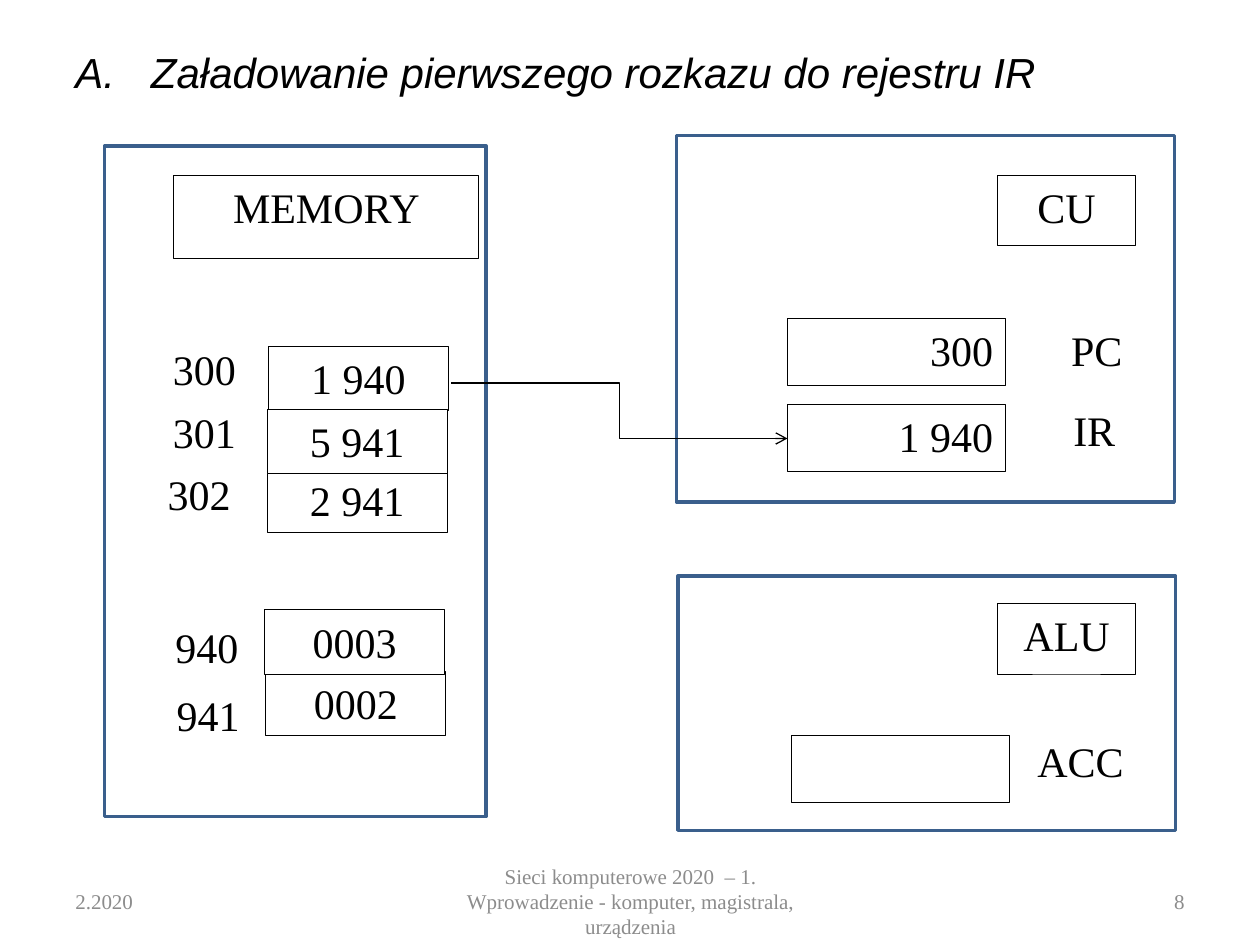
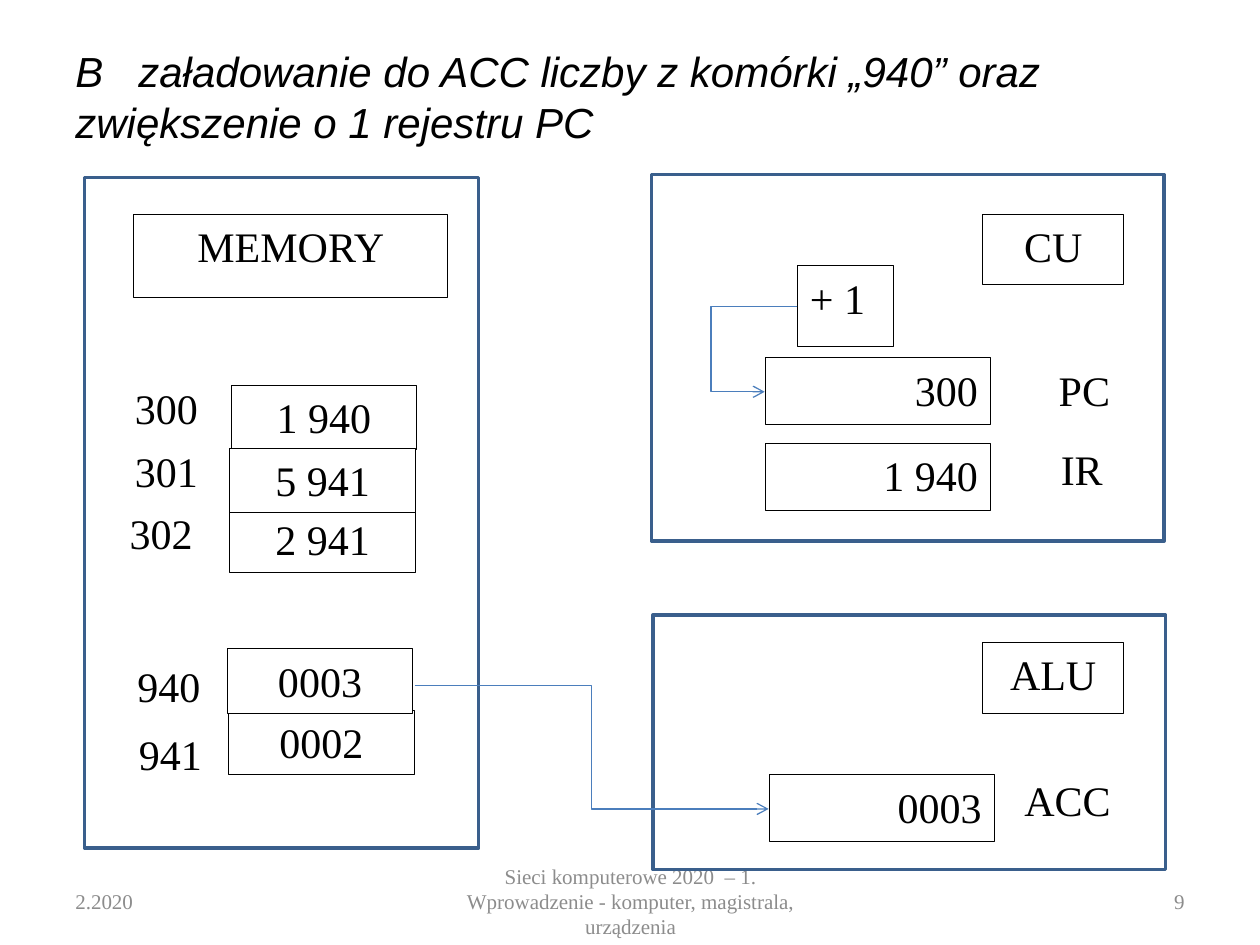
from dataclasses import dataclass

from lxml import etree
from pptx import Presentation
from pptx.dml.color import RGBColor
from pptx.enum.shapes import MSO_CONNECTOR, MSO_SHAPE
from pptx.enum.text import MSO_ANCHOR, PP_ALIGN
from pptx.oxml.ns import qn
from pptx.util import Inches, Pt

LEFT, CENTER, RIGHT = PP_ALIGN.LEFT, PP_ALIGN.CENTER, PP_ALIGN.RIGHT
TOP, MIDDLE = MSO_ANCHOR.TOP, MSO_ANCHOR.MIDDLE
RECTANGLE, ELBOW = MSO_SHAPE.RECTANGLE, MSO_CONNECTOR.ELBOW

COLORS = {
    "ink": "000000",
    "paper": "FFFFFF",
    "frame": "3A5F8C",
    "signal": "4B7EBC",
    "footer": "8C8C8C",
}
TITLE_FONT, BODY_FONT = "Arial", "Times New Roman"
BODY_SIZE, FOOTER_SIZE = 24, 12

# The slide is a grid of 100 columns by 75 rows of square cells.
SLIDE_WIDTH, SLIDE_HEIGHT = Inches(10), Inches(7.5)
COLUMN, ROW = SLIDE_WIDTH / 100, SLIDE_HEIGHT / 75

FOOTER_TEXT = "Sieci komputerowe 2020  – 1. Wprowadzenie - komputer, magistrala, urządzenia"
DATE_TEXT = "2.2020"


@dataclass(frozen=True)
class Area:
    """Place on the grid, in columns and rows."""
    left: float
    top: float
    width: float
    height: float


@dataclass(frozen=True)
class MemoryCell:
    address: str
    value: str
    address_left: float
    address_top: float
    cell_left: float
    cell_top: float


@dataclass(frozen=True)
class Label:
    """Borderless or outlined box with one line of text."""
    text: str
    area: Area
    align: PP_ALIGN = CENTER
    outlined: bool = True


@dataclass(frozen=True)
class Signal:
    """Bent arrow; bend is the share of its width where it turns."""
    start: tuple[float, float]
    end: tuple[float, float]
    color: str
    bend: float = 0.5


@dataclass(frozen=True)
class Stage:
    number: int
    mark: str
    title: str
    title_height: float
    title_tab: float
    memory_frame: Area
    signals: list[Signal]
    accumulator: str = ""
    stretch: float = 1.0
    shift_x: float = 0.0
    shift_y: float = 0.0
    increment: bool = False

    def place(self, area: Area) -> Area:
        """Move a part of the machine to where this stage shows it."""
        return Area(area.left * self.stretch + self.shift_x, area.top + self.shift_y,
                    area.width * self.stretch, area.height)


CPU_FRAMES = [Area(53.7, 10.75, 39.5, 29.1), Area(53.8, 45.7, 39.5, 20.2)]

MEMORY_CELLS = [
    MemoryCell("300", "1 940", 11.4, 26.8, 21.3, 27.5),
    MemoryCell("941", "0002", 11.7, 54.2, 21.1, 53.3),
    MemoryCell("940", "0003", 11.6, 48.8, 21, 48.4),
    MemoryCell("302", "2 941", 11, 36.7, 21.2, 37.2),
    MemoryCell("301", "5 941", 11.4, 31.8, 21.2, 32.5),
]

UNIT_LABELS = [
    Label("MEMORY", Area(13.8, 13.9, 24.2, 6.6)),
    Label("CU", Area(79.2, 13.9, 10.9, 5.6)),
    Label("ALU", Area(79.2, 47.9, 10.9, 5.6)),
    Label("300", Area(62.5, 25.3, 17.3, 5.3), RIGHT),
    Label("1 940", Area(62.5, 32.1, 17.3, 5.3), RIGHT),
    Label("PC", Area(83, 25.3, 8.1, 6.1), outlined=False),
    Label("IR", Area(82.8, 31.6, 8.1, 6.1), outlined=False),
    Label("ACC", Area(80.7, 57.9, 10.1, 6.1), outlined=False),
]
ACCUMULATOR_AREA = Area(62.8, 58.4, 17.3, 5.3)
INCREMENT_LABEL = Label("+ 1", Area(63.3, 21.1, 7.6, 6.4), LEFT)

STAGES = [
    Stage(8, "A.", "Załadowanie pierwszego rozkazu do rejestru IR", 5.4, 6,
          Area(8.3, 11.6, 30.3, 53.2),
          [Signal((35.8, 30.4), (62.5, 34.8), "ink")]),
    Stage(9, "B", "załadowanie do ACC liczby z komórki „940” oraz zwiększenie o 1 rejestru PC",
          9.3, 5, Area(6.7, 14.1, 31.3, 53.2),
          [Signal((32.9, 54.4), (61, 64.2), "signal"),
           Signal((63.3, 24.3), (60.7, 31.1), "signal", 2.64)],
          accumulator="0003", stretch=1.03, shift_x=-3.6, shift_y=3.1, increment=True),
]


def rgb(color: str) -> RGBColor:
    return RGBColor.from_string(COLORS[color])


def bounds(area: Area) -> tuple[int, int, int, int]:
    return (round(area.left * COLUMN), round(area.top * ROW),
            round(area.width * COLUMN), round(area.height * ROW))


def write(shape, text: str, align=LEFT, anchor=TOP, size=BODY_SIZE, color="ink",
          font=BODY_FONT, italic=False):
    frame = shape.text_frame
    frame.word_wrap = True
    frame.vertical_anchor = anchor
    paragraph = frame.paragraphs[0]
    paragraph.alignment = align
    run = paragraph.add_run()
    run.text = text
    run.font.name = font
    run.font.size = Pt(size)
    run.font.italic = italic
    run.font.color.rgb = rgb(color)
    return paragraph


def add_title(slide, stage: Stage) -> None:
    box = slide.shapes.add_textbox(*bounds(Area(5, 3, 90, stage.title_height)))
    paragraph = write(box, f"{stage.mark}\t{stage.title}", anchor=MIDDLE,
                      font=TITLE_FONT, italic=True)
    tabs = etree.SubElement(paragraph._p.get_or_add_pPr(), qn("a:tabLst"))
    etree.SubElement(tabs, qn("a:tab"), pos=str(round(stage.title_tab * COLUMN)), algn="l")


def add_footer(slide, number: int) -> None:
    for text, left, width, align in [
        (DATE_TEXT, 5, 23.3, LEFT),
        (FOOTER_TEXT, 34.2, 31.7, CENTER),
        (str(number), 71.7, 23.3, RIGHT),
    ]:
        box = slide.shapes.add_textbox(*bounds(Area(left, 69.5, width, 4)))
        write(box, text, align, MIDDLE, FOOTER_SIZE, "footer")


def add_box(slide, area: Area, line: str = "", line_width: float = 0.5, filled: bool = True):
    shape = slide.shapes.add_shape(RECTANGLE, *bounds(area))
    shape.shadow.inherit = False
    if filled:
        shape.fill.solid()
        shape.fill.fore_color.rgb = rgb("paper")
    else:
        shape.fill.background()
    if line:
        shape.line.color.rgb = rgb(line)
        shape.line.width = Pt(line_width)
    else:
        shape.line.fill.background()
    return shape


def add_label(slide, stage: Stage, label: Label) -> None:
    shape = add_box(slide, stage.place(label.area), "ink" if label.outlined else "")
    if label.text:
        write(shape, label.text, label.align)


def add_memory_cell(slide, stage: Stage, cell: MemoryCell) -> None:
    address_area = Area(cell.address_left, cell.address_top, 8.3, 4.9)
    value_area = Area(cell.cell_left, cell.cell_top, 14.3, 5.1)
    add_label(slide, stage, Label(cell.address, address_area, RIGHT, outlined=False))
    add_label(slide, stage, Label(cell.value, value_area))


def add_signal(slide, signal: Signal) -> None:
    (start_x, start_y), (end_x, end_y) = signal.start, signal.end
    connector = slide.shapes.add_connector(
        ELBOW, round(start_x * COLUMN), round(start_y * ROW),
        round(end_x * COLUMN), round(end_y * ROW))
    connector.line.color.rgb = rgb(signal.color)
    connector.line.width = Pt(0.75)
    properties = connector._element.spPr
    adjustments = properties.find(qn("a:prstGeom")).find(qn("a:avLst"))
    etree.SubElement(adjustments, qn("a:gd"), name="adj1",
                     fmla=f"val {round(signal.bend * 100000)}")
    etree.SubElement(properties.find(qn("a:ln")), qn("a:tailEnd"), type="arrow")
    etree.SubElement(properties, qn("a:effectLst"))


def add_stage(presentation, stage: Stage) -> None:
    slide = presentation.slides.add_slide(presentation.slide_layouts[6])
    add_title(slide, stage)
    add_footer(slide, stage.number)
    for frame in [stage.memory_frame, *map(stage.place, CPU_FRAMES)]:
        add_box(slide, frame, "frame", 2, filled=False)
    for cell in MEMORY_CELLS:
        add_memory_cell(slide, stage, cell)
    labels = [*UNIT_LABELS, Label(stage.accumulator, ACCUMULATOR_AREA, RIGHT)]
    for label in labels:
        add_label(slide, stage, label)
    if stage.increment:
        box = add_box(slide, INCREMENT_LABEL.area, "ink")
        write(box, INCREMENT_LABEL.text, INCREMENT_LABEL.align)
    for signal in stage.signals:
        add_signal(slide, signal)


def main() -> None:
    presentation = Presentation()
    presentation.slide_width, presentation.slide_height = SLIDE_WIDTH, SLIDE_HEIGHT
    for stage in STAGES:
        add_stage(presentation, stage)
    presentation.save("out.pptx")


if __name__ == "__main__":
    main()
